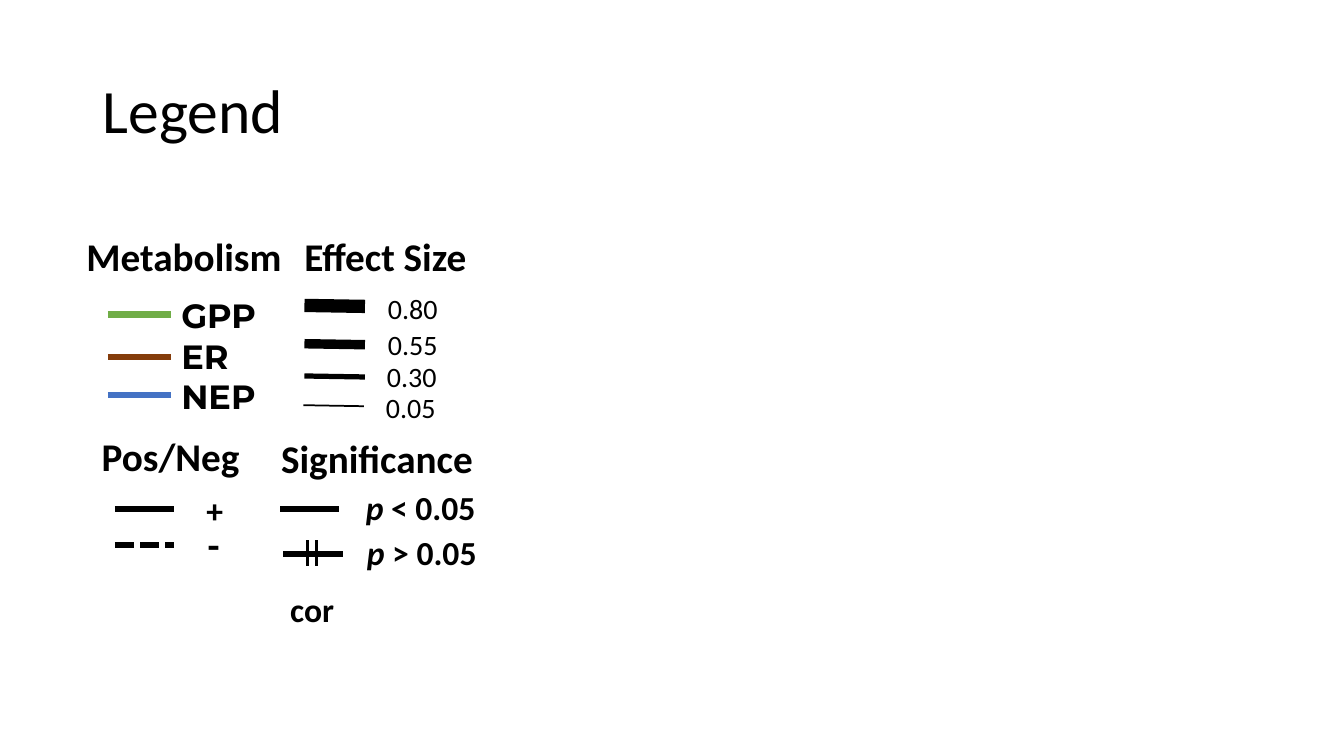
import pptx
import pptx.dml.color
import pptx.enum.dml
import pptx.enum.shapes
import pptx.enum.text
import pptx.oxml.ns
import pptx.util
from lxml import etree

BLACK = pptx.dml.color.RGBColor(0x00, 0x00, 0x00)
GREEN = pptx.dml.color.RGBColor(0x70, 0xAD, 0x47)
BROWN = pptx.dml.color.RGBColor(0x84, 0x3C, 0x0B)
BLUE = pptx.dml.color.RGBColor(0x44, 0x72, 0xC4)


def px(length):
    """One px is a hundredth of an inch."""
    return pptx.util.Emu(length * 9144)


class LegendSlide:
    """Holds the style, the slide and the shapes being added to."""

    font = "Calibri"
    heading_size = 28
    label_size = 24

    def __init__(self, presentation):
        self.slide = presentation.slides.add_slide(presentation.slide_layouts[5])
        self.shapes = self.slide.shapes

    def start_group(self):
        self.shapes = self.slide.shapes.add_group_shape().shapes

    def end_group(self):
        self.shapes = self.slide.shapes

    def add_run(self, paragraph, text, size, bold=True, italic=False, font=None):
        run = paragraph.add_run()
        run.text = text
        run.font.name = font or self.font
        run.font.size = pptx.util.Pt(size)
        run.font.bold = bold
        run.font.italic = italic
        run.font.color.rgb = BLACK

    def title(self, text, left, top, width, height):
        shape = self.slide.shapes.title
        shape.left, shape.top = px(left), px(top)
        shape.width, shape.height = px(width), px(height)
        shape.text_frame.vertical_anchor = pptx.enum.text.MSO_ANCHOR.MIDDLE
        paragraph = shape.text_frame.paragraphs[0]
        paragraph.alignment = pptx.enum.text.PP_ALIGN.LEFT
        paragraph.line_spacing = 0.9
        self.add_run(paragraph, text, 44, bold=False)

    def text_box(self, left, top, width, height):
        """Add an unwrapped box and return its text frame."""
        shape = self.shapes.add_textbox(px(left), px(top), px(width), px(height))
        frame = shape.text_frame
        frame.word_wrap = False
        frame.auto_size = pptx.enum.text.MSO_AUTO_SIZE.SHAPE_TO_FIT_TEXT
        return frame

    def label(self, text, left, top, width, height, size, bold=True):
        frame = self.text_box(left, top, width, height)
        self.add_run(frame.paragraphs[0], text, size, bold)

    def heading(self, text, left, top, width):
        self.label(text, left, top, width, 57, self.heading_size)

    def p_value(self, condition, left, top):
        paragraph = self.text_box(left, top, 130, 50).paragraphs[0]
        self.add_run(paragraph, "p", self.label_size, italic=True)
        self.add_run(paragraph, condition, self.label_size)

    def line(self, x1, y1, x2, y2, weight, color=BLACK, dash=None):
        connector = self.shapes.add_connector(
            pptx.enum.shapes.MSO_CONNECTOR.STRAIGHT, px(x1), px(y1), px(x2), px(y2))
        connector.line.color.rgb = color
        connector.line.width = pptx.util.Pt(weight)
        if dash:
            connector.line.dash_style = dash
        etree.SubElement(connector._element.spPr, pptx.oxml.ns.qn("a:effectLst"))


def main():
    presentation = pptx.Presentation()
    presentation.slide_width, presentation.slide_height = px(1333), px(750)
    legend = LegendSlide(presentation)
    legend.title("Legend", 92, 40, 1150, 145)

    # Metabolism: one colour per rate
    legend.heading("Metabolism", 76, 226, 216)
    legend.start_group()
    frame = legend.text_box(170, 288, 97, 131)
    legend.add_run(frame.paragraphs[0], "GPP", legend.label_size, font="Montserrat")
    paragraph = frame.add_paragraph()
    legend.add_run(paragraph, "ER", legend.label_size, font="Montserrat")
    paragraph.add_line_break()
    legend.add_run(paragraph, "NEP", legend.label_size, font="Montserrat")
    for y, color in ((312, GREEN), (354, BROWN), (392, BLUE)):
        legend.line(107, y, 170, y, 4.5, color)
    legend.end_group()

    # Effect size: line weight grows with the value
    legend.start_group()
    legend.heading("Effect Size", 292, 226, 184)
    for value, x, y, weight, text_left, text_top in (
            ("0.80", 302, 303, 9.5, 375, 284),
            ("0.55", 302, 341, 6.75, 375, 320),
            ("0.30", 302, 373, 3.75, 374, 352),
            ("0.05", 301, 402, 1.25, 373, 382)):
        legend.line(x, y, x + 60, y + 1, weight)
        legend.label(value, text_left, text_top, 70, 44, 20, bold=False)
    legend.end_group()

    # Sign: solid or dashed
    legend.heading("Pos/Neg", 91, 424, 158)
    legend.line(114, 505, 173, 505, 4.5)
    legend.line(114, 541, 173, 541, 4.5, dash=pptx.enum.dml.MSO_LINE.SQUARE_DOT)
    legend.label("+", 195, 481, 37, 50, legend.label_size)
    legend.label("-", 196, 511, 32, 57, legend.heading_size)

    # Significance: plain or crossed by two ticks
    legend.heading("Significance", 269, 426, 213)
    legend.line(278, 505, 336, 505, 4.5)
    legend.p_value(" < 0.05", 353, 478)
    legend.start_group()
    legend.line(281, 550, 340, 550, 4.25)
    for x in (305, 314):
        legend.line(x, 536, x, 562, 1.75)
    legend.end_group()
    legend.p_value(" > 0.05", 354, 523)
    legend.label("cor", 278, 579, 64, 50, legend.label_size)

    presentation.save("out.pptx")


if __name__ == "__main__":
    main()
